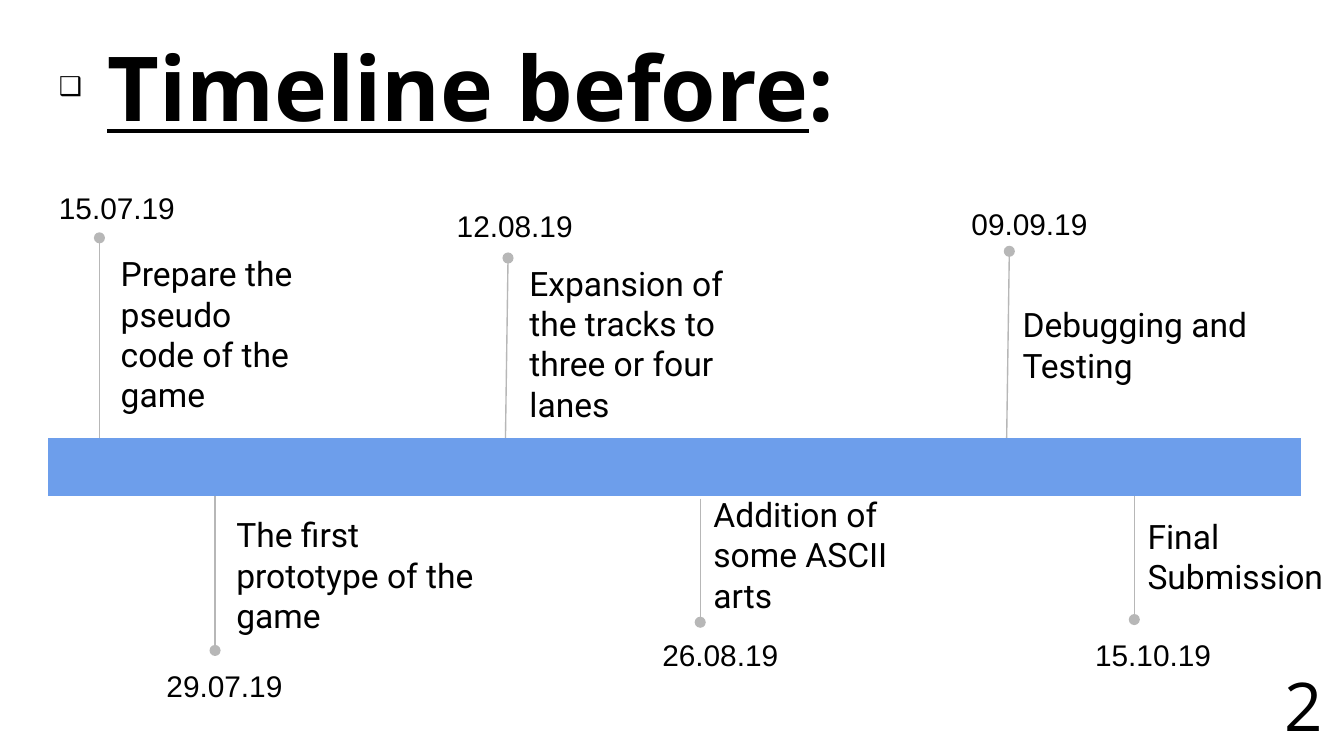
from lxml import etree
from pptx import Presentation
from pptx.dml.color import RGBColor
from pptx.enum.shapes import MSO_CONNECTOR
from pptx.enum.text import MSO_ANCHOR
from pptx.oxml.ns import qn
from pptx.util import Emu, Pt

STRAIGHT = MSO_CONNECTOR.STRAIGHT
TOP, MIDDLE, BOTTOM = MSO_ANCHOR.TOP, MSO_ANCHOR.MIDDLE, MSO_ANCHOR.BOTTOM
EMU_PER_PX = 9144
BLANK_LAYOUT = 6
NO_TABLE_STYLE = "{2D5ABB26-0587-4C30-8999-92F81FD0307C}"
BLACK, GREY, BLUE = "000000", "B7B7B7", "6D9EEB"
DATE_FONT, EVENT_FONT, TITLE_FONT = "Arial", "Roboto", "Open Sans"
EVENTS = [
    ("15.07.19", (34, 136, 107, 37), (74, 327, 74, 177),
     "Prepare the pseudo code of the game", (80, 177, 158, 143)),
    ("29.07.19", (114, 492, 109, 37), (160, 364, 160, 484),
     "The first prototype of the game", (166, 415, 198, 25)),
    ("12.08.19", (330, 150, 107, 37), (376, 333, 378, 192),
     "Expansion of the tracks to three or four lanes", (384, 201, 198, 109)),
    ("26.08.19", (483, 469, 107, 37), (521, 371, 521, 463),
     "Addition of some ASCII arts", (521, 391, 198, 43)),
    ("09.09.19", (713, 148, 107, 37), (749, 328, 751, 187),
     "Debugging and Testing", (751, 235, 198, 43)),
    ("15.10.19", (805, 469, 107, 37), (844, 369, 844, 461),
     "Final\nSubmission", (844, 378, 153, 71)),
]


def px(length):
    return Emu(length * EMU_PER_PX)


def color(hex_string):
    return RGBColor.from_string(hex_string)


def add_run(paragraph, text, font, size, bold=False, underline=False):
    run = paragraph.add_run()
    run.text = text
    run.font.name = font
    run.font.size = Pt(size)
    run.font.bold = bold
    run.font.underline = underline
    run.font.color.rgb = color(BLACK)


class TimelineSlide:
    def __init__(self, presentation):
        layout = presentation.slide_layouts[BLANK_LAYOUT]
        self.shapes = presentation.slides.add_slide(layout).shapes

    def text(self, text, box, anchor=TOP, wrap=True, inset=(10, 10), **style):
        frame = self.shapes.add_textbox(*map(px, box)).text_frame
        frame.word_wrap = wrap
        frame.vertical_anchor = anchor
        frame.margin_left = frame.margin_right = px(10)
        frame.margin_top, frame.margin_bottom = map(px, inset)
        for index, line in enumerate(text.split("\n")):
            paragraph = frame.add_paragraph() if index else frame.paragraphs[0]
            if line:
                add_run(paragraph, line, **style)
        return frame.paragraphs[0]

    def title(self, text, box):
        paragraph = self.text("", box, anchor=BOTTOM, inset=(0, 37))
        add_run(paragraph, text, TITLE_FONT, 48, bold=True, underline=True)
        add_run(paragraph, ":", TITLE_FONT, 48, bold=True)
        properties = paragraph._p.get_or_add_pPr()
        properties.set("marL", str(px(36)))
        properties.set("indent", str(-px(36)))
        bullet_color = etree.SubElement(properties, qn("a:buClr"))
        etree.SubElement(bullet_color, qn("a:srgbClr"), val=BLACK)
        etree.SubElement(properties, qn("a:buSzPct"), val="29000")
        etree.SubElement(properties, qn("a:buFont"), typeface="Lato")
        etree.SubElement(properties, qn("a:buChar"), char="❑")

    def marker(self, ends):
        connector = self.shapes.add_connector(STRAIGHT, *map(px, ends))
        connector.line.color.rgb = color(GREY)
        connector.line.width = Pt(0.75)
        etree.SubElement(connector.line._get_or_add_ln(), qn("a:tailEnd"), type="oval")
        etree.SubElement(connector._element.spPr, qn("a:effectLst"))

    def event(self, date, date_box, ends, text, text_box):
        self.marker(ends)
        self.text(text, text_box, anchor=MIDDLE, wrap="\n" not in text,
                  font=EVENT_FONT, size=18)
        self.text(date, date_box, wrap=False, inset=(5, 5), font=DATE_FONT, size=16)

    def bar(self, box, columns):
        table = self.shapes.add_table(1, columns, *map(px, box)).table
        table.first_row = table.horz_banding = False
        table._tbl.tblPr.find(qn("a:tableStyleId")).text = NO_TABLE_STYLE
        for cell in table.iter_cells():
            cell.fill.solid()
            cell.fill.fore_color.rgb = color(BLUE)


def main():
    presentation = Presentation()
    presentation.slide_width = px(1000)
    presentation.slide_height = px(1000) * 9 // 16
    slide = TimelineSlide(presentation)
    slide.title("Timeline before", (34, 26, 932, 115))
    for event in EVENTS:
        slide.event(*event)
    slide.bar((36, 326, 932, 43), columns=12)
    slide.text("2", (946, 484, 101, 78), font=TITLE_FONT, size=36)
    presentation.save("out.pptx")


if __name__ == "__main__":
    main()
